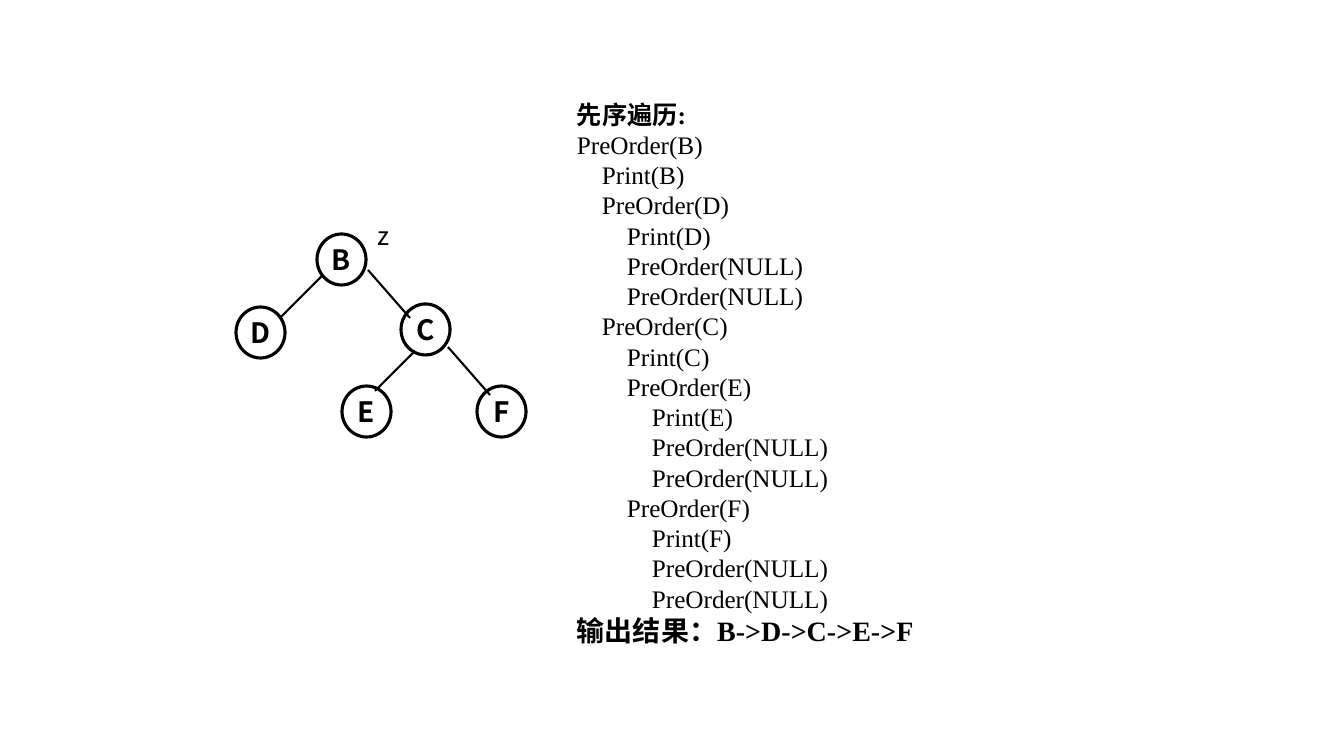
from pptx import Presentation
from pptx.dml.color import RGBColor
from pptx.enum.shapes import MSO_CONNECTOR, MSO_SHAPE
from pptx.enum.text import MSO_ANCHOR, PP_ALIGN
from pptx.oxml.ns import qn
from pptx.util import Pt

EMU_PER_PX = 914400 / 100.8
BLACK = RGBColor(0, 0, 0)
TREE_FONT = "Noto Sans CJK SC"
CODE_FONT = "Times New Roman"
OVAL = MSO_SHAPE.OVAL
STRAIGHT = MSO_CONNECTOR.STRAIGHT
CENTER = PP_ALIGN.CENTER
MIDDLE = MSO_ANCHOR.MIDDLE

NODE_WIDTH, NODE_HEIGHT = 49, 51
INDENT = 25

# Left and top of each node, from the corner of the tree
NODES = {"B": (81, 19), "E": (106, 171), "F": (241, 171), "D": (0, 92), "C": (165, 89)}
# Both ends of each edge, from the corner of the tree
EDGES = [
    ((174, 103), (132, 55)),
    ((254, 180), (212, 132)),
    ((139, 176), (179, 136)),
    ((44, 103), (86, 61)),
]
POINTER_BOX = (132, 0, 32, 40)

# Depth of the call and its text
CALLS = [
    (0, "PreOrder(B)"),
    (1, "Print(B)"),
    (1, "PreOrder(D)"),
    (2, "Print(D)"),
    (2, "PreOrder(NULL)"),
    (2, "PreOrder(NULL)"),
    (1, "PreOrder(C)"),
    (2, "Print(C)"),
    (2, "PreOrder(E)"),
    (3, "Print(E)"),
    (3, "PreOrder(NULL)"),
    (3, "PreOrder(NULL)"),
    (2, "PreOrder(F)"),
    (3, "Print(F)"),
    (3, "PreOrder(NULL)"),
    (3, "PreOrder(NULL)"),
]


def px(length):
    return round(length * EMU_PER_PX)


def style_text(para, text, font, size, bold=False):
    para.text = text
    para.font.name = font
    para.font.size = Pt(size)
    para.font.bold = bold
    para.font.color.rgb = BLACK


def add_node(page, letter, left, top):
    node = page.shapes.add_shape(OVAL, px(left), px(top), px(NODE_WIDTH), px(NODE_HEIGHT))
    node.shadow.inherit = False
    node.fill.background()
    node.line.color.rgb = BLACK
    node.line.width = Pt(2.25)
    frame = node.text_frame
    frame.margin_left = frame.margin_right = frame.margin_top = frame.margin_bottom = 0
    frame.vertical_anchor = MIDDLE
    frame.word_wrap = False
    para = frame.paragraphs[0]
    para.alignment = CENTER
    style_text(para, letter, TREE_FONT, 20, bold=True)


def add_edge(page, start, end):
    edge = page.shapes.add_connector(STRAIGHT, *(px(length) for length in start + end))
    edge.line.color.rgb = BLACK
    edge.line.width = Pt(1.5)
    properties = edge.element.spPr
    properties.append(properties.makeelement(qn("a:effectLst"), {}))


def add_tree(page, left, top):
    for letter, (x, y) in NODES.items():
        add_node(page, letter, left + x, top + y)
    for (x1, y1), (x2, y2) in EDGES:
        add_edge(page, (left + x1, top + y1), (left + x2, top + y2))
    x, y, width, height = POINTER_BOX
    pointer = page.shapes.add_textbox(px(left + x), px(top + y), px(width), px(height))
    pointer.text_frame.word_wrap = False
    style_text(pointer.text_frame.paragraphs[0], "z", TREE_FONT, 18)


def add_trace(page, left, top, width, height):
    """List the recursive calls, indented by depth, between a heading and the result."""
    box = page.shapes.add_textbox(px(left), px(top), px(width), px(height))
    frame = box.text_frame
    frame.word_wrap = True
    lines = [(0, "先序遍历:", 18, True)]
    lines += [(depth, call, 18, False) for depth, call in CALLS]
    lines.append((0, "输出结果：B->D->C->E->F", 20, True))
    for index, (depth, text, size, bold) in enumerate(lines):
        para = frame.add_paragraph() if index else frame.paragraphs[0]
        style_text(para, text, CODE_FONT, size, bold)
        para.line_spacing = Pt(size * 1.2)
        if depth:
            para._p.get_or_add_pPr().set("marL", str(px(depth * INDENT)))


def main():
    deck = Presentation()
    deck.slide_width, deck.slide_height = px(1344), px(756)
    page = deck.slides.add_slide(deck.slide_layouts[6])
    add_tree(page, 236, 215)
    add_trace(page, 567, 94, 427, 563)
    deck.save("out.pptx")


if __name__ == "__main__":
    main()
